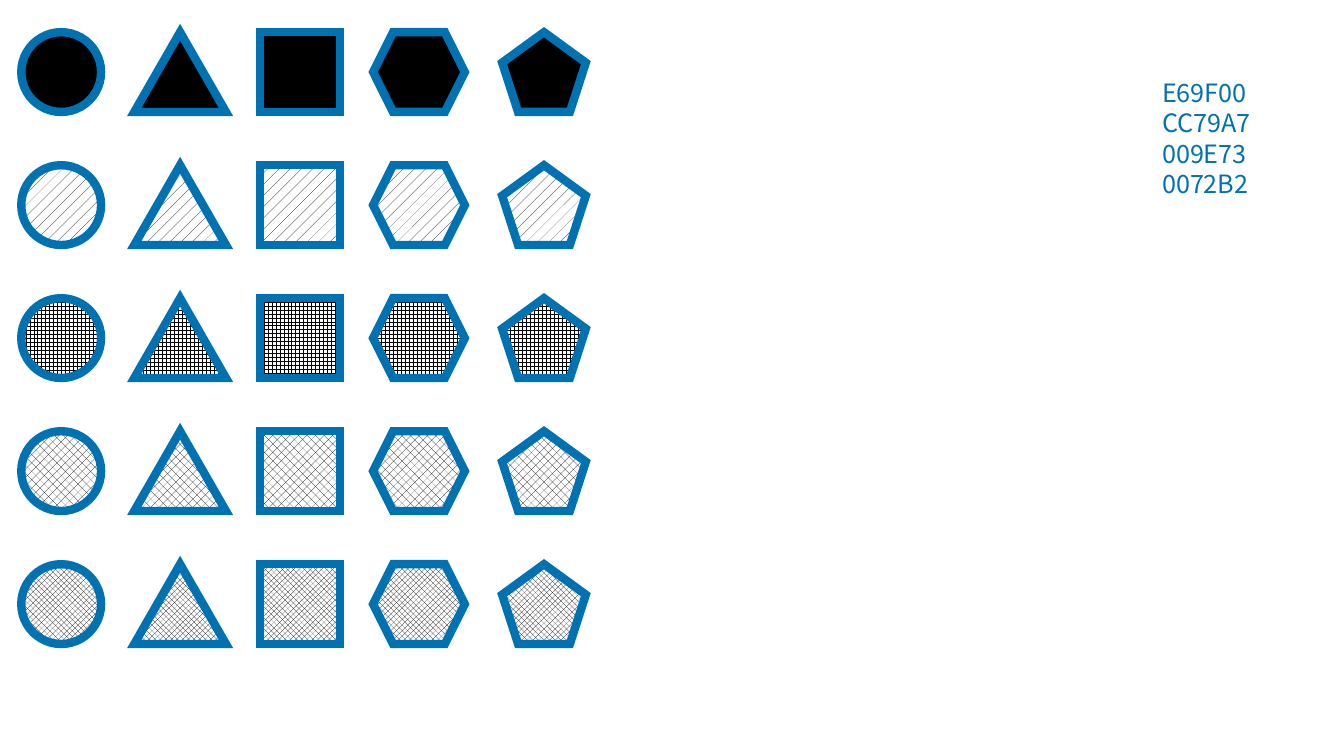
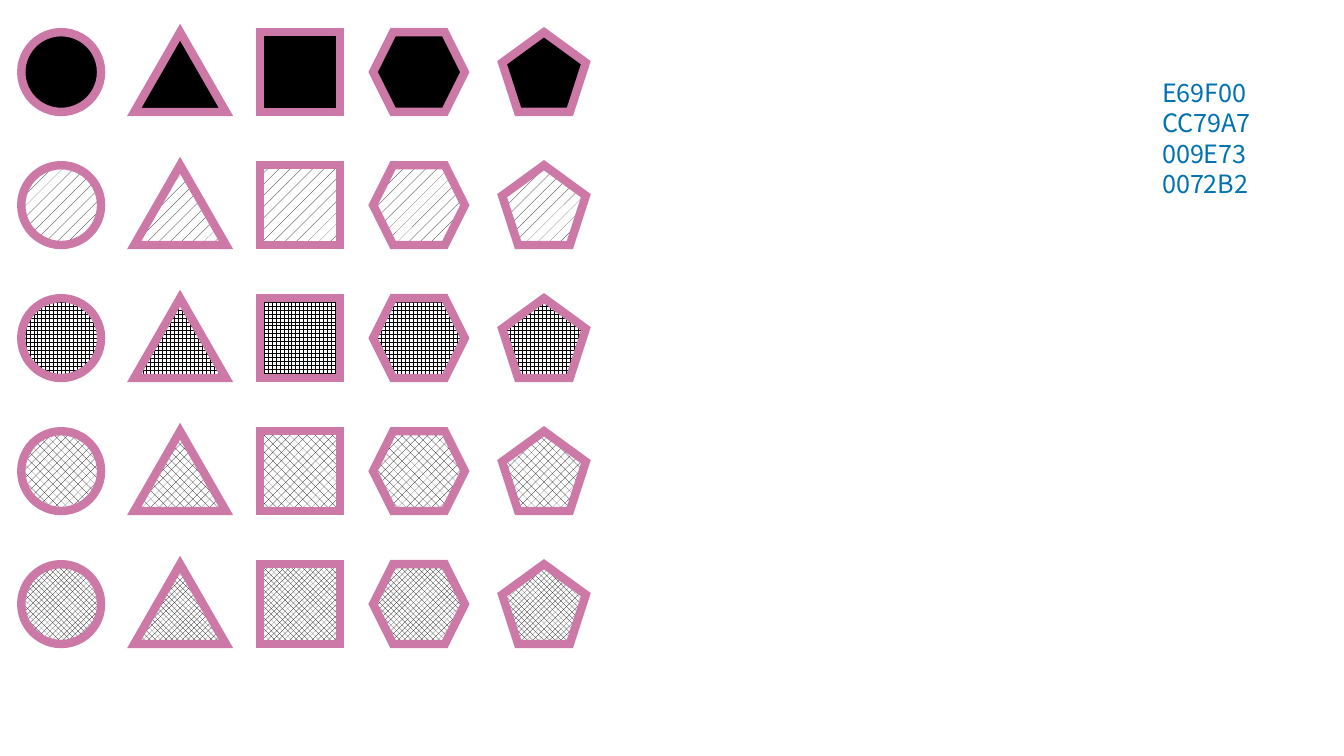
from lxml import etree
from pptx import Presentation
from pptx.dml.color import RGBColor
from pptx.enum import dml, shapes, text
from pptx.oxml.ns import qn
from pptx.util import Pt

COLORS = {"black": "000000", "white": "FFFFFF", "blue": "0072B2", "pink": "CC79A7"}
FONT = "Noto Sans CJK JP"
PALETTE_CODES = ["E69F00", "CC79A7", "009E73", "0072B2"]
PATTERNS = [
    dml.MSO_PATTERN.DARK_VERTICAL,
    dml.MSO_PATTERN.PERCENT_10,
    dml.MSO_PATTERN.LARGE_GRID,
    dml.MSO_PATTERN.WEAVE,
    dml.MSO_PATTERN.LARGE_CHECKER_BOARD,
]
MARKERS = [
    (shapes.MSO_SHAPE.OVAL, 0, 57),
    (shapes.MSO_SHAPE.ISOSCELES_TRIANGLE, 80.7, 65.5),
    (shapes.MSO_SHAPE.RECTANGLE, 170.7, 57),
    (shapes.MSO_SHAPE.HEXAGON, 251.3, 65.5),
    (shapes.MSO_SHAPE.REGULAR_PENTAGON, 343.5, 59.8),
]
MARKER_HEIGHT = 57
ROW_PITCH = 95


def rgb(name):
    """Return the named colour."""
    return RGBColor.from_string(COLORS[name])


def add_marker(slide, kind, box, pattern, outline):
    """Draw one pattern-filled shape with a thick mitred outline."""
    shape = slide.shapes.add_shape(kind, *map(Pt, box))
    shape.shadow.inherit = False
    shape.fill.patterned()
    shape.fill.pattern = pattern
    shape.fill.fore_color.rgb = rgb("black")
    shape.fill.back_color.rgb = rgb("white")
    shape.line.color.rgb = rgb(outline)
    shape.line.width = Pt(6)
    line = shape.element.spPr.find(qn("a:ln"))
    etree.SubElement(line, qn("a:miter"), lim="800000")


def add_marker_grid(slide, left, top, outline):
    """Draw one row per pattern and one column per shape."""
    for row, pattern in enumerate(PATTERNS):
        for kind, offset, width in MARKERS:
            box = (left + offset, top + row * ROW_PITCH, width, MARKER_HEIGHT)
            add_marker(slide, kind, box, pattern, outline)


def add_palette_list(slide, box):
    """List the palette's colour codes, one to a paragraph."""
    frame = slide.shapes.add_textbox(*map(Pt, box)).text_frame
    frame.word_wrap = False
    frame.auto_size = text.MSO_AUTO_SIZE.SHAPE_TO_FIT_TEXT
    for index, code in enumerate(PALETTE_CODES):
        paragraph = frame.add_paragraph() if index else frame.paragraphs[0]
        run = paragraph.add_run()
        run.text = code
        run.font.name = FONT
        run.font.size = Pt(18)
        run.font.color.rgb = rgb("blue")


def add_marker_slide(presentation, outline):
    """Add a slide with the marker grid and the palette list."""
    slide = presentation.slides.add_slide(presentation.slide_layouts[6])
    add_marker_grid(slide, 15.2, 23, outline)
    add_palette_list(slide, (823, 51.8, 81.4, 94.4))


def main():
    """Build and save the presentation."""
    presentation = Presentation()
    presentation.slide_width = Pt(960)
    presentation.slide_height = Pt(540)
    for outline in ("blue", "pink"):
        add_marker_slide(presentation, outline)
    presentation.save("out.pptx")


if __name__ == "__main__":
    main()
